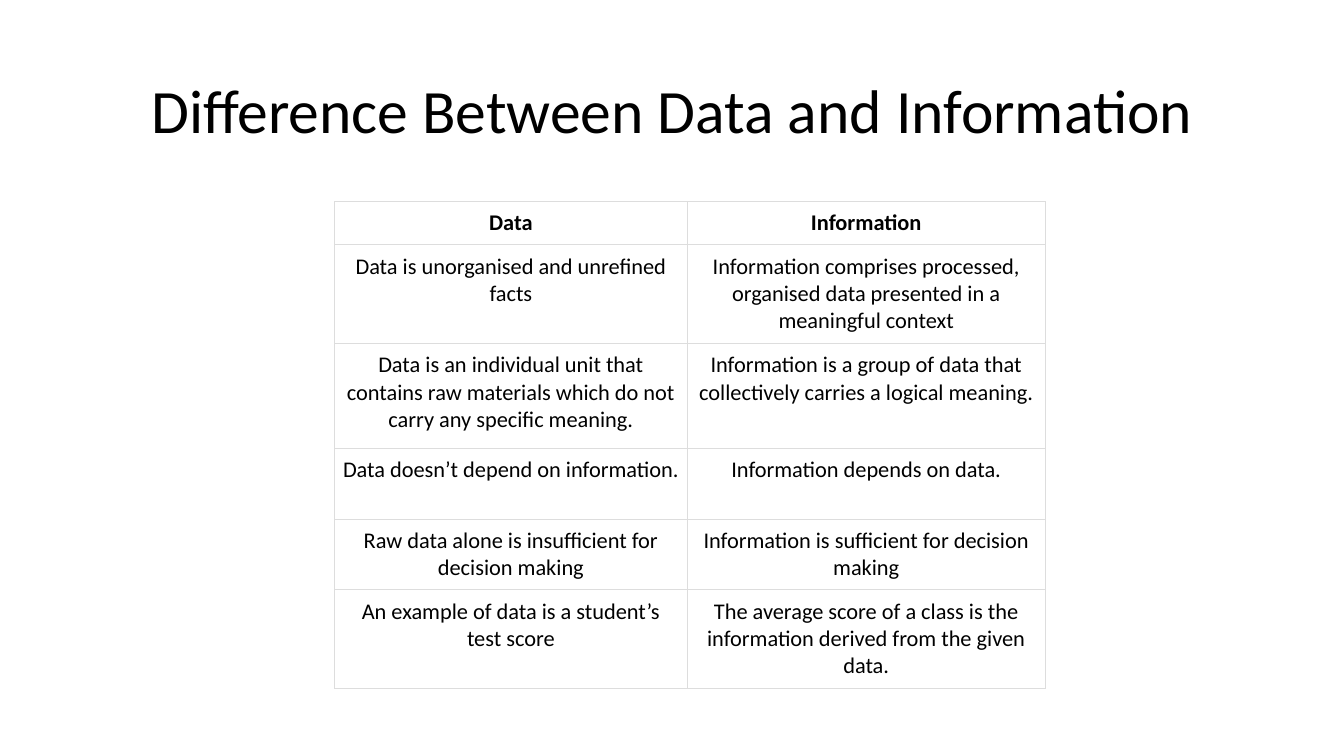
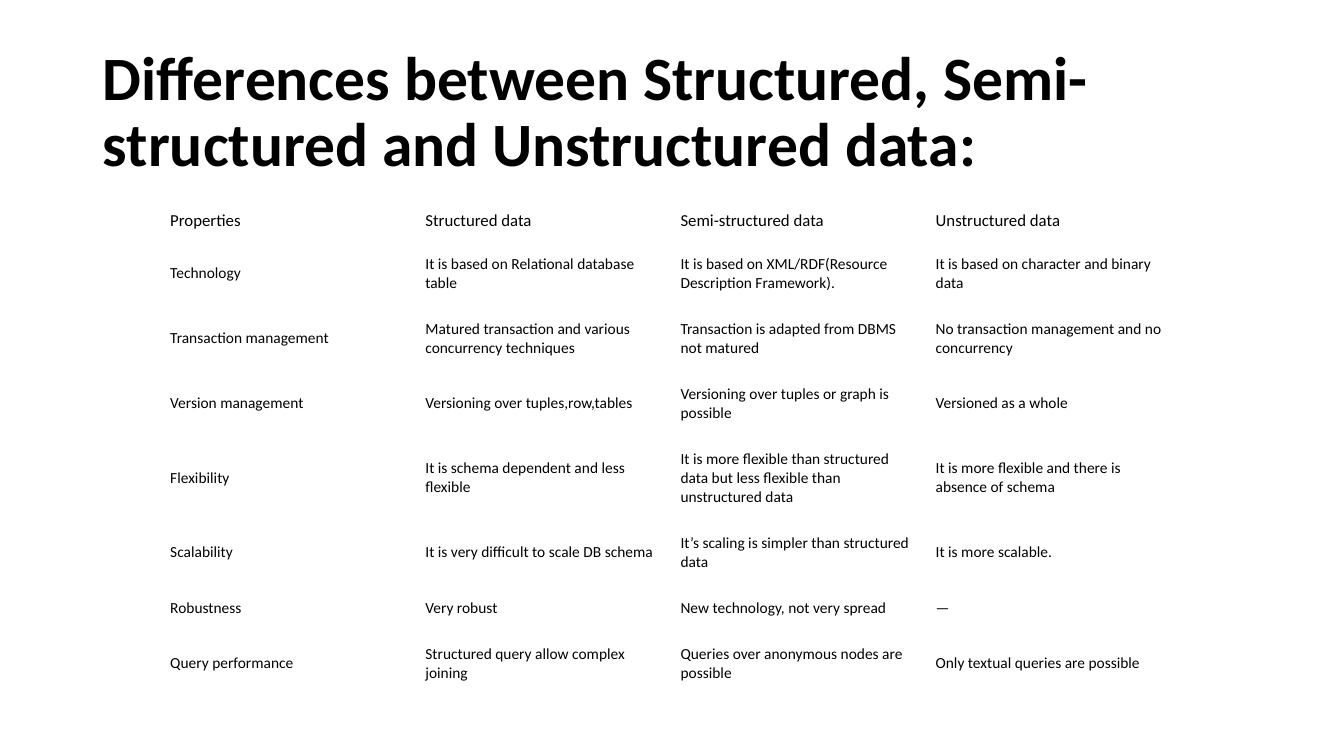
from lxml.etree import SubElement
from pptx import Presentation
from pptx.dml.color import RGBColor
from pptx.enum.text import MSO_ANCHOR as Anchor, MSO_AUTO_SIZE as AutoSize, PP_ALIGN as Align
from pptx.oxml.ns import qn
from pptx.util import Cm, Pt

# Shared look
FONT = "Calibri"
COLORS = {"text": "000000", "cell": "FFFFFF", "border": "DDDDDD"}
TITLE_BOX = (2.34, 1.02, 29.21, 3.68)
TITLE_SIZE = 44
TABLE_TOP = 5.08

# Content, with lengths in centimetres; insets are (sides, top and bottom)
SLIDES = [
    {
        "title": "Difference Between Data and Information",
        "title_bold": False,
        "title_align": Align.CENTER,
        "left": 8.43,
        "columns": [8.89, 9.02],
        "heights": [1.09, 2.49, 2.64, 1.78, 1.78, 2.49],
        "header": {"size": 16, "bold": True, "insets": (0.2, 0.2)},
        "body": {"size": 16, "bold": False, "insets": (0.2, 0.2)},
        "align": Align.CENTER,
        "anchor": Anchor.TOP,
        "grid": True,
        "rows": [
            ("Data", "Information"),
            ("Data is unorganised and unrefined facts",
             "Information comprises processed, organised data presented in a meaningful context"),
            ("Data is an individual unit that contains raw materials which do not carry any specific meaning.",
             "Information is a group of data that collectively carries a logical meaning."),
            ("Data doesn’t depend on information.", "Information depends on data."),
            ("Raw data alone is insufficient for decision making",
             "Information is sufficient for decision making"),
            ("An example of data is a student’s test score",
             "The average score of a class is the information derived from the given data."),
        ],
    },
    {
        "title": "Differences between Structured, Semi-structured and Unstructured data:",
        "title_bold": True,
        "title_align": Align.LEFT,
        "left": 4.06,
        "columns": [6.43] * 4,
        "heights": [0.99, 1.57, 1.57, 1.57, 2.06, 1.57, 1.12, 1.57],
        "header": {"size": 12, "bold": False, "insets": (0.23, 0.23)},
        "body": {"size": 11, "bold": False, "insets": (0.23, 0.34)},
        "align": Align.LEFT,
        "anchor": Anchor.MIDDLE,
        "grid": False,
        "rows": [
            ("Properties", "Structured data", "Semi-structured data", "Unstructured data"),
            ("Technology", "It is based on Relational database table",
             "It is based on XML/RDF(Resource Description Framework).",
             "It is based on character and binary data"),
            ("Transaction management", "Matured transaction and various concurrency techniques",
             "Transaction is adapted from DBMS not matured",
             "No transaction management and no concurrency"),
            ("Version management", "Versioning over tuples,row,tables",
             "Versioning over tuples or graph is possible", "Versioned as a whole"),
            ("Flexibility", "It is schema dependent and less flexible",
             "It is more flexible than structured data but less flexible than unstructured data",
             "It is more flexible and there is absence of schema"),
            ("Scalability", "It is very difficult to scale DB schema",
             "It’s scaling is simpler than structured data", "It is more scalable."),
            ("Robustness", "Very robust", "New technology, not very spread", "—"),
            ("Query performance", "Structured query allow complex joining",
             "Queries over anonymous nodes are possible", "Only textual queries are possible"),
        ],
    },
]


def write(frame, text, size, bold, align):
    paragraph = frame.paragraphs[0]
    paragraph.alignment = align
    run = paragraph.add_run()
    run.text = text
    run.font.name = FONT
    run.font.size = Pt(size)
    run.font.bold = bold
    run.font.color.rgb = RGBColor.from_string(COLORS["text"])
    return paragraph


def add_title(slide, content):
    title = slide.shapes.title
    title.left, title.top, title.width, title.height = map(Cm, TITLE_BOX)
    frame = title.text_frame
    frame.auto_size = AutoSize.NONE
    frame.vertical_anchor = Anchor.MIDDLE
    paragraph = write(frame, content["title"], TITLE_SIZE,
                      content["title_bold"], content["title_align"])
    paragraph.line_spacing = 0.9


def add_borders(cell):
    properties = cell._tc.get_or_add_tcPr()
    for side in ("a:lnL", "a:lnR", "a:lnT", "a:lnB"):
        line = SubElement(properties, qn(side), w=str(Pt(0.75)))
        fill = SubElement(line, qn("a:solidFill"))
        SubElement(fill, qn("a:srgbClr"), val=COLORS["border"])


def format_cell(cell, text, style, content):
    sides, ends = map(Cm, style["insets"])
    cell.margin_left = cell.margin_right = sides
    cell.margin_top = cell.margin_bottom = ends
    cell.vertical_anchor = content["anchor"]
    if content["grid"]:
        add_borders(cell)
        cell.fill.solid()
        cell.fill.fore_color.rgb = RGBColor.from_string(COLORS["cell"])
    else:
        cell.fill.background()
    write(cell.text_frame, text, style["size"], style["bold"], content["align"])


def add_comparison(slide, content):
    columns, heights = content["columns"], content["heights"]
    table = slide.shapes.add_table(
        len(heights), len(columns), Cm(content["left"]), Cm(TABLE_TOP),
        Cm(sum(columns)), Cm(sum(heights))).table
    table.first_row = table.horz_banding = False
    for column, width in zip(table.columns, columns):
        column.width = Cm(width)
    for index, (row, height, texts) in enumerate(zip(table.rows, heights, content["rows"])):
        row.height = Cm(height)
        style = content["body" if index else "header"]
        for cell, text in zip(row.cells, texts):
            format_cell(cell, text, style, content)


def main():
    deck = Presentation()
    deck.slide_width, deck.slide_height = Cm(33.87), Cm(19.05)
    title_only = deck.slide_layouts[5]
    for content in SLIDES:
        slide = deck.slides.add_slide(title_only)
        add_title(slide, content)
        add_comparison(slide, content)
    deck.save("out.pptx")


if __name__ == "__main__":
    main()
